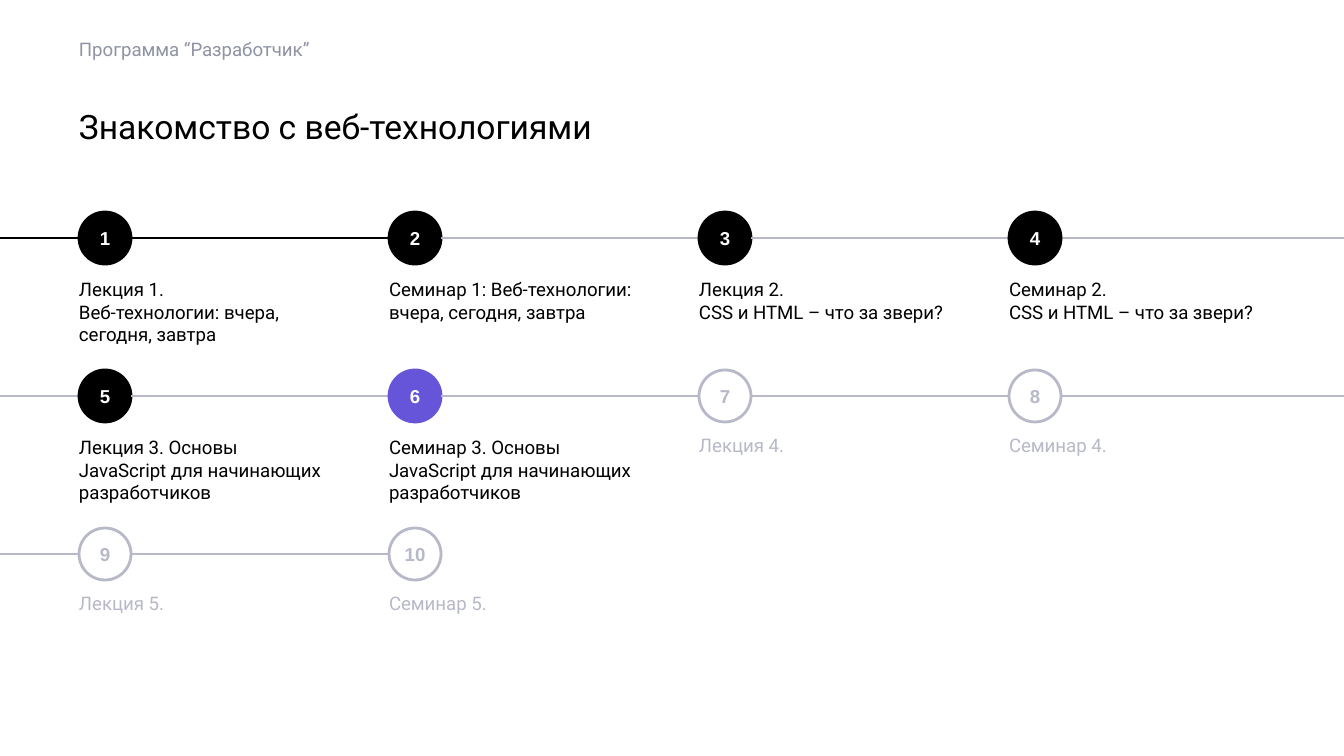
from lxml import etree
from pptx import Presentation
from pptx.dml.color import RGBColor
from pptx.enum.shapes import MSO_CONNECTOR, MSO_SHAPE
from pptx.enum.text import MSO_ANCHOR, PP_ALIGN
from pptx.oxml.ns import qn
from pptx.util import Pt

PX = 914400 / 134.4
STRAIGHT = MSO_CONNECTOR.STRAIGHT
OVAL = MSO_SHAPE.OVAL
TOP, MIDDLE = MSO_ANCHOR.TOP, MSO_ANCHOR.MIDDLE
LEFT, CENTER = PP_ALIGN.LEFT, PP_ALIGN.CENTER

BLACK = RGBColor(0x00, 0x00, 0x00)
WHITE = RGBColor(0xFF, 0xFF, 0xFF)
PURPLE = RGBColor(0x66, 0x54, 0xD9)
PALE = RGBColor(0xB7, 0xB9, 0xC8)
GRAY = RGBColor(0x8F, 0x93, 0xA3)

SLIDE_WIDTH, SLIDE_HEIGHT = 1344, 756
MARGIN, COLUMN_STEP, COLUMNS = 79, 310, 4
FIRST_ROW, ROW_STEP = 212, 158
CIRCLE = 52
LABEL_OFFSET, LABEL_WIDTH = 53, 257
LINE_WIDTH = Pt(1.5)

# Circle fill, outline, number and label colours
DONE = (BLACK, BLACK, WHITE, BLACK)
CURRENT = (PURPLE, PURPLE, WHITE, BLACK)
PLANNED = (WHITE, PALE, PALE, PALE)

# Label, its height, state, colour of the line leading to the step
STEPS = [
    ("Лекция 1.\vВеб-технологии: вчера, сегодня, завтра", 96, DONE, BLACK),
    ("Семинар 1: Веб-технологии: вчера, сегодня, завтра", 96, DONE, BLACK),
    ("Лекция 2.\vCSS и HTML – что за звери?", 73, DONE, PALE),
    ("Семинар 2.\vCSS и HTML – что за звери?", 73, DONE, PALE),
    ("Лекция 3. Основы JavaScript для начинающих разработчиков", 96, DONE, PALE),
    ("Семинар 3. Основы JavaScript для начинающих разработчиков", 96, CURRENT, PALE),
    ("Лекция 4.", 50, PLANNED, PALE),
    ("Семинар 4.", 50, PLANNED, PALE),
    ("Лекция 5.", 50, PLANNED, PALE),
    ("Семинар 5.", 50, PLANNED, PALE),
]

presentation = Presentation()
presentation.slide_width = round(SLIDE_WIDTH * PX)
presentation.slide_height = round(SLIDE_HEIGHT * PX)
slide = presentation.slides.add_slide(presentation.slide_layouts[6])
shapes = slide.shapes


def write(shape, text, size, color, margins=(0, 0, 0, 0), anchor=TOP,
          align=LEFT, font_name="Roboto", bold=False):
    """Fill a shape with one paragraph; margins are left, top, right, bottom in px."""
    frame = shape.text_frame
    frame.word_wrap = True
    frame.vertical_anchor = anchor
    (frame.margin_left, frame.margin_top,
     frame.margin_right, frame.margin_bottom) = [round(m * PX) for m in margins]
    paragraph = frame.paragraphs[0]
    paragraph.text = text
    paragraph.alignment = align
    font = paragraph.font
    font.name, font.size, font.bold = font_name, Pt(size), bold
    font.color.rgb = color


def add_segment(start, end, y, color):
    line = shapes.add_connector(STRAIGHT, *[round(v * PX) for v in (start, y, end, y)])
    line.line.color.rgb = color
    line.line.width = LINE_WIDTH
    etree.SubElement(line._element.spPr, qn("a:effectLst"))


header_box = [round(v * PX) for v in (MARGIN, 23, 1186, 52)]
write(shapes.add_textbox(*header_box), "Программа “Разработчик”", 10, GRAY,
      margins=(0, 5, 0, 5), anchor=MIDDLE)

title_box = [round(v * PX) for v in (MARGIN, 106, 1186, 47)]
write(shapes.add_textbox(*title_box), "Знакомство с веб-технологиями", 18, BLACK)

for index, (label, label_height, state, line_color) in enumerate(STEPS):
    fill, outline, number_color, label_color = state
    row, column = divmod(index, COLUMNS)
    x = MARGIN + column * COLUMN_STEP
    y = FIRST_ROW + row * ROW_STEP
    middle = y + CIRCLE // 2

    start = x - COLUMN_STEP + CIRCLE if column else 0
    add_segment(start, x, middle, line_color)
    if column == COLUMNS - 1:
        add_segment(x + CIRCLE, SLIDE_WIDTH, middle, PALE)

    circle = shapes.add_shape(OVAL, *[round(v * PX) for v in (x, y, CIRCLE, CIRCLE)])
    circle.shadow.inherit = False
    circle.fill.solid()
    circle.fill.fore_color.rgb = fill
    circle.line.color.rgb = outline
    circle.line.width = LINE_WIDTH
    write(circle, str(index + 1), 10, number_color, anchor=MIDDLE, align=CENTER,
          font_name="Arial", bold=True)

    label_box = [round(v * PX) for v in (x, y + LABEL_OFFSET, LABEL_WIDTH, label_height)]
    write(shapes.add_textbox(*label_box), label, 10, label_color,
          margins=(0, 13, 13, 13))

presentation.save("out.pptx")
